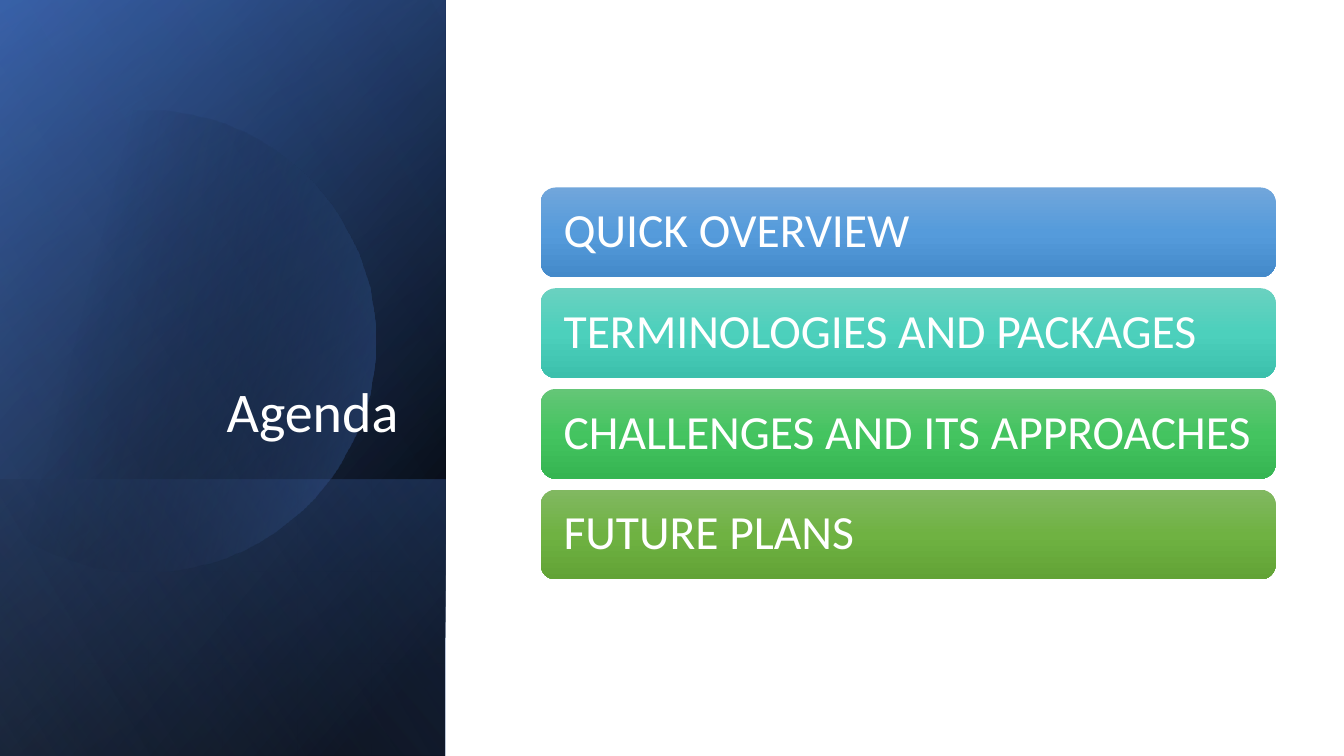
import math
from pptx import Presentation, util as u
from pptx.dml.color import RGBColor
from pptx.enum import shapes, text
from pptx.oxml import parse_xml
from pptx.oxml.ns import nsdecls, qn

HUES = {
    "white": "FFFFFF", "black": "000000", "navy": "2F5597",
    "blue": "4472C4", "pale": "8FAADC",
}
BARS = [
    ("QUICK OVERVIEW", ("71A6DB", "559BDB", "448ACA")),
    ("TERMINOLOGIES AND PACKAGES", ("6AD1C0", "4CD0BC", "3CC0AC")),
    ("CHALLENGES AND ITS APPROACHES", ("64C677", "44C460", "36B552")),
    ("FUTURE PLANS", ("81B861", "6FB242", "62A336")),
]
SHADES = [
    ([(8, "black", 100), (100, "navy", 100)], 50),
    ([(0, "black", 0), (99, "blue", 46)], 30),
    ([(2, "blue", 29), (100, "black", 30)], 130),
    ([(0, "black", 0), (99, "pale", 11)], 120),
]
DISC = [(29, "black", 0), (100, "blue", 43)]


def paint(shape, stops, angle):
    shape.shadow.inherit = False
    shape.line.fill.background()
    shape.fill.background()
    marks = "".join(
        f'<a:gs pos="{pos * 1000}"><a:srgbClr val="{HUES.get(hue, hue)}">'
        f'<a:alpha val="{alpha * 1000}"/></a:srgbClr></a:gs>'
        for pos, hue, alpha in stops)
    grad = parse_xml(
        f'<a:gradFill {nsdecls("a")} rotWithShape="1"><a:gsLst>{marks}</a:gsLst>'
        f'<a:lin ang="{angle * 60000}" scaled="0"/></a:gradFill>')
    props = shape._element.spPr
    props.replace(props.find(qn("a:noFill")), grad)


def write(shape, words, size, align, form):
    frame = shape.text_frame
    for key, value in form.items():
        setattr(frame, key, value)
    para = frame.paragraphs[0]
    for key, value in {"alignment": align, "line_spacing": 0.9,
                       "space_after": u.Pt(6)}.items():
        setattr(para, key, value)
    run = para.add_run()
    run.text = words
    for key, value in {"name": "Calibri", "size": u.Pt(size)}.items():
        setattr(run.font, key, value)
    run.font.color.rgb = RGBColor.from_string(HUES["white"])


def add_shade(slide, box, stops, angle):
    left, top, width, height = box
    shape = slide.shapes.add_shape(
        shapes.MSO_SHAPE.RECTANGLE,
        u.Pt(left + (width - height) / 2), u.Pt(top + (height - width) / 2),
        u.Pt(height), u.Pt(width))
    shape.rotation = 90
    shape._element.spPr.xfrm.set("flipH", "1")
    paint(shape, stops, angle)


def add_disc(slide, box):
    left, top, size, cut = box
    radius = size / 2
    limit = math.acos((cut - left - radius) / radius)
    count = 120
    turns = [limit * (2 * step / count - 1) for step in range(count + 1)]
    points = [(left + radius * (1 + math.cos(turn)),
               top + radius * (1 + math.sin(turn))) for turn in turns]
    form = slide.shapes.build_freeform(*points[0], scale=u.Pt(1))
    form.add_line_segments(points[1:], close=True)
    paint(form.convert_to_shape(), DISC, 14)


def add_panel(slide, box):
    left, top, width, height = box
    low = 197.3
    foot = (left, top + height - low, width, low)
    areas = [box, box, foot, box]
    for index, (area, (stops, angle)) in enumerate(zip(areas, SHADES)):
        if index == 3:
            add_disc(slide, (left - 62, top + 78.5, 330, left - 11))
        add_shade(slide, area, stops, angle)
    title = slide.shapes.add_textbox(
        u.Pt(left + 46), u.Pt(top + 132.5), u.Pt(245.6), u.Pt(188.6))
    write(title, "Agenda", 40, text.PP_ALIGN.RIGHT,
          {"word_wrap": True, "vertical_anchor": text.MSO_ANCHOR.BOTTOM})


def add_bars(slide, box):
    left, top, width, height = box
    gap = 7.8
    tall = (height - gap * (len(BARS) - 1)) / len(BARS)
    for row, (words, hues) in enumerate(BARS):
        bar = slide.shapes.add_shape(
            shapes.MSO_SHAPE.ROUNDED_RECTANGLE, u.Pt(left),
            u.Pt(top + row * (tall + gap)), u.Pt(width), u.Pt(tall))
        paint(bar, [(50 * i, hue, 100) for i, hue in enumerate(hues)], 90)
        write(bar, words, 34, text.PP_ALIGN.LEFT, {
            "word_wrap": True, "vertical_anchor": text.MSO_ANCHOR.MIDDLE,
            "margin_left": u.Pt(13.3), "margin_right": u.Pt(13.3),
            "margin_top": u.Pt(10), "margin_bottom": u.Pt(10)})


def main():
    deck = Presentation()
    deck.slide_width, deck.slide_height = u.Pt(960), u.Pt(540)
    slide = deck.slides.add_slide(deck.slide_layouts[6])
    add_panel(slide, (0, 0, 318.2, 540))
    add_bars(slide, (386.2, 133.9, 525, 280))
    deck.save("out.pptx")


if __name__ == "__main__":
    main()
